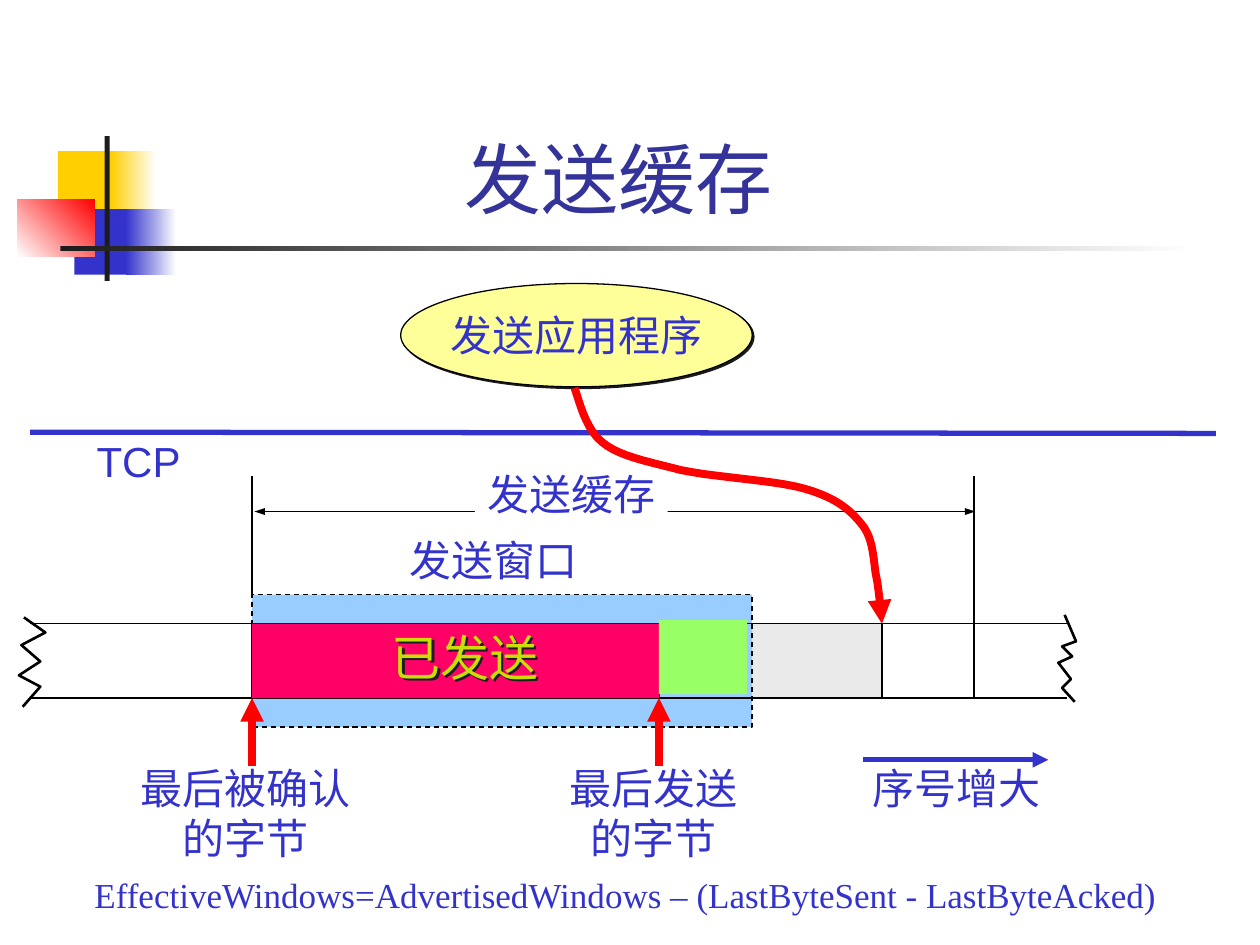
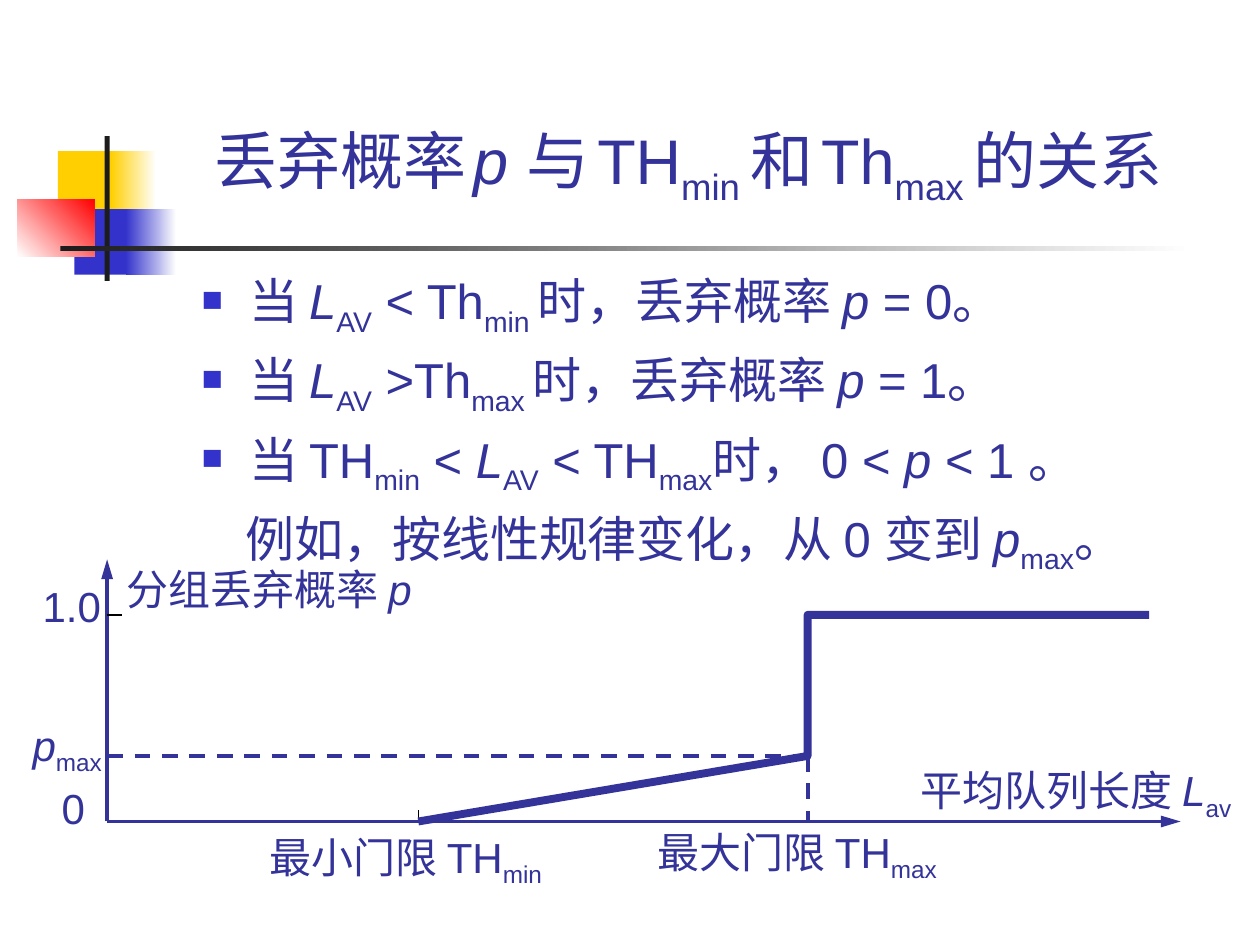
from lxml import etree
from pptx import Presentation
from pptx import util as u
from pptx.dml.color import RGBColor
from pptx.enum import dml, shapes, text
from pptx.oxml.ns import qn

# Shared colours and fonts
BLUE, NAVY, RED, BLACK, DARK = "3333CC", "333399", "FF0000", "000000", "1C1C1C"
FONT, SERIF = "Arial", "Times New Roman"
CENTER, LEFT = text.PP_ALIGN.CENTER, text.PP_ALIGN.LEFT
RECT, OVAL = shapes.MSO_SHAPE.RECTANGLE, shapes.MSO_SHAPE.OVAL

# Arrowheads: width, length
PLAIN, NARROW, LONG = ("med", "med"), ("sm", "med"), ("med", "lg")

# Corner ornament and title rule: box, colour(s), gradient angle
ORNAMENT = [
    ((0.46, 1.2, 0.48, 0.52), "FFCF01", 0),
    ((0.88, 1.2, 0.36, 0.52), ("FFCF01", "FFFFFF"), 0),
    ((0.59, 1.66, 0.46, 0.52), BLUE, 0),
    ((1, 1.66, 0.4, 0.52), (BLUE, "FFFFFF"), 0),
    ((0.14, 1.58, 0.61, 0.46), ("FFFFFF", RED), 45),
    ((0.83, 1.08, 0.04, 1.15), DARK, 0),
    ((0.48, 1.95, 9, 0.04), (DARK, "FFFFFF"), 0),
]

# Text markup: "|" parts runs; a leading "/" is italic, "_" subscript, "~" a small gap
BUFFER_TITLE = "发送缓存 "
DROP_TITLE = "丢弃概率|~ |/p |与|~ |TH|_min |和|~ |Th|_max |的关系 "
DROP_RULES = [
    "当 |/L|_AV| < Th|_min |时，丢弃概率 |/p| = 0。",
    "当 |/L|_AV| >Th|_max |时，丢弃概率 |/p| = 1。",
    "当 TH|_min| < |/L|_AV| < TH|_max|时， 0 < |/p |< 1 。",
]
DROP_EXAMPLE = "例如，按线性规律变化，从 0 变到 |/p|_max|。"

# Send buffer: byte positions along the band, band edges
ACKED, SENT, WRITTEN, BUFFER_END = 2, 5.23, 7, 7.73
BAND_TOP, BAND_BOTTOM, BAND_LEFT, BAND_RIGHT = 4.95, 5.54, 0.24, 8.47
BAND_H = BAND_BOTTOM - BAND_TOP
BUFFER_LABELS = [
    ((1.02, 6, 1.86, 0.9), "最后被确认\n的字节", CENTER),
    ((4.42, 6, 1.53, 0.9), "最后发送\n的字节", CENTER),
    ((3.15, 4.19, 1.53, 0.5), "发送窗口", LEFT),
    ((0.67, 3.41, 0.86, 0.5), "TCP", CENTER),
    ((6.83, 6, 1.53, 0.5), "序号增大", CENTER),
]
FORMULA = "EffectiveWindows=AdvertisedWindows – (LastByteSent - LastByteAcked)"
WRITE_PATH = [
    (4.56, 3.08),
    (4.59, 3.15), (4.64, 3.4), (4.78, 3.51),
    (4.91, 3.62), (5.13, 3.66), (5.4, 3.73),
    (5.67, 3.79), (6.15, 3.81), (6.39, 3.88),
    (6.63, 3.95), (6.74, 4.04), (6.83, 4.15),
    (6.93, 4.26), (6.93, 4.42), (6.95, 4.55),
    (6.98, 4.69), (6.99, 4.87), (7, 4.95),
]
TORN_EDGES = [
    [(8.45, 4.88), (8.54, 5.09), (8.43, 5.13), (8.51, 5.21),
     (8.4, 5.26), (8.5, 5.39), (8.43, 5.46), (8.53, 5.57)],
    [(0.19, 4.9), (0.36, 5.02), (0.17, 5.12), (0.32, 5.25),
     (0.15, 5.36), (0.32, 5.45), (0.18, 5.61)],
]

# Drop probability graph: axes and thresholds
ORIGIN_X, AXIS_Y, TH_MIN, TH_MAX, P_MAX, P_ONE = 0.85, 6.52, 3.32, 6.41, 6, 4.88
GRAPH_LABELS = [
    ((2.04, 6.55, 2.53, 0.56), "最小门限 TH|_min"),
    ((5.12, 6.51, 2.59, 0.56), "最大门限 TH|_max"),
    ((7.21, 6.02, 2.83, 0.56), "平均队列长度 |/L|_av"),
    ((0.91, 4.42, 2.63, 0.5), "分组丢弃概率 |/p"),
    ((0.24, 4.56, 0.66, 0.5), "1.0"),
    ((0.39, 6.16, 0.38, 0.5), "0"),
    ((0.16, 5.66, 0.75, 0.56), "/p|_max"),
]


def rgb(hex_color):
    return RGBColor.from_string(hex_color)


def inches(values):
    return [u.Inches(v) for v in values]


def sub(parent, tag, **attrs):
    return etree.SubElement(parent, qn(tag), attrs)


def cast_shadow(sp, points):
    """Offset an opaque dark shadow down and to the right."""
    sp.shadow.inherit = False
    effects = sp._element.spPr.find(qn("a:effectLst"))
    shdw = sub(effects, "a:outerShdw", dist=str(u.Pt(points)), dir="2700000")
    sub(shdw, "a:srgbClr", val=DARK)


def write(p, markup, size, color, font=FONT):
    """Fill a paragraph with the runs of a marked-up string."""
    for part in markup.split("|"):
        mark = part[0] if part[0] in "/_~" else ""
        r = p.add_run()
        r.text = part[len(mark):]
        look = {"size": u.Pt(20 if mark == "~" else size), "name": font,
                "italic": mark == "/", "bold": False}
        for key, value in look.items():
            setattr(r.font, key, value)
        r.font.color.rgb = rgb(color)
        if mark == "_":
            r.font._element.set("baseline", "-25000")


def fill_frame(tf, content, size, color, align=LEFT, font=FONT):
    for i, content_line in enumerate(content.split("\n")):
        p = tf.paragraphs[0] if i == 0 else tf.add_paragraph()
        p.alignment = align
        write(p, content_line, size, color, font)


def label(s, box, content, color, align=LEFT, size=24, font=FONT, wrap=False):
    """Place a text box whose side margins leave slack for its longest line."""
    sp = s.shapes.add_textbox(*inches(box))
    left, right = (0.02, 0.02) if align == CENTER else (0.1, 0)
    look = {"word_wrap": wrap, "auto_size": text.MSO_AUTO_SIZE.NONE,
            "margin_left": u.Inches(left), "margin_right": u.Inches(right)}
    for key, value in look.items():
        setattr(sp.text_frame, key, value)
    fill_frame(sp.text_frame, content, size, color, align, font)
    return sp


def set_line(fmt, color, width, dashed=False, head=None, tail=None):
    fmt.color.rgb = rgb(color)
    fmt.width = u.Pt(width)
    if dashed:
        fmt.dash_style = dml.MSO_LINE.DASH
    ln = fmt._get_or_add_ln()
    for tag, arrow in (("a:headEnd", head), ("a:tailEnd", tail)):
        if arrow:
            sub(ln, tag, type="triangle", w=arrow[0], len=arrow[1])


def block(s, box, fill, angle=0, kind=RECT, outlined=None, dashed=False):
    sp = s.shapes.add_shape(kind, *inches(box))
    sp.shadow.inherit = False
    if isinstance(fill, tuple):
        sp.fill.gradient()
        sp.fill.gradient_angle = angle
        for stop, color in zip(sp.fill.gradient_stops, fill):
            stop.color.rgb = rgb(color)
    else:
        sp.fill.solid()
        sp.fill.fore_color.rgb = rgb(fill)
    if outlined:
        set_line(sp.line, outlined, 0.75, dashed)
    else:
        sp.line.fill.background()
    return sp


def line(s, start, end, color=BLACK, width=0.75, **ends):
    cx = s.shapes.add_connector(shapes.MSO_CONNECTOR.STRAIGHT, *inches(start + end))
    set_line(cx.line, color, width, **ends)
    sub(cx._element.spPr, "a:effectLst")


def outline(s, points, color, width, **ends):
    """Draw an open, unfilled path through the points."""
    pts = [tuple(inches(pt)) for pt in points]
    fb = s.shapes.build_freeform(*pts[0])
    fb.add_line_segments(pts[1:], close=False)
    sp = fb.convert_to_shape()
    sp.shadow.inherit = False
    sp.fill.background()
    set_line(sp.line, color, width, **ends)


def bezier(nodes, steps=10):
    """Sample a chain of cubic curves."""
    points = [nodes[0]]
    for i in range(0, len(nodes) - 1, 3):
        for k in range(1, steps + 1):
            t = k / steps
            weights = ((1 - t) ** 3, 3 * t * (1 - t) ** 2, 3 * t * t * (1 - t), t ** 3)
            points.append(tuple(sum(w * n[axis] for w, n in zip(weights, nodes[i:i + 4]))
                                for axis in (0, 1)))
    return points


def titled_slide(prs, box, title, size):
    s = prs.slides.add_slide(prs.slide_layouts[5])
    for part, fill, angle in ORNAMENT:
        block(s, part, fill, angle)
    sp = s.shapes.title
    sp.left, sp.top, sp.width, sp.height = inches(box)
    tf = sp.text_frame
    for key, value in {"vertical_anchor": text.MSO_ANCHOR.BOTTOM, "word_wrap": True,
                       "auto_size": text.MSO_AUTO_SIZE.NONE}.items():
        setattr(tf, key, value)
    fill_frame(tf, title, size, NAVY, CENTER)
    return s


def buffer_slide(prs):
    s = titled_slide(prs, (1.26, 0.23, 7.44, 1.6), BUFFER_TITLE, 44)
    line(s, (ACKED + 0.02, 4.06), (BUFFER_END + 0.01, 4.06), head=NARROW, tail=NARROW)

    # Application and the TCP boundary
    block(s, (SENT, BAND_TOP, WRITTEN - SENT, BAND_H), "EAEAEA")
    app = block(s, (3.18, 2.25, 2.79, 0.82), "FFFF99", kind=OVAL, outlined=BLACK)
    cast_shadow(app, 1.4)
    app.text_frame.word_wrap = False
    app.text_frame.vertical_anchor = text.MSO_ANCHOR.MIDDLE
    fill_frame(app.text_frame, "发送应用程序", 24, BLUE, CENTER)
    line(s, (0.24, 3.43), (9.65, 3.44), BLUE, 3)

    # Window, band edges and byte marks
    block(s, (ACKED, 4.72, 3.97, 1.05), "99CCFF", outlined=BLACK, dashed=True)
    for y in (BAND_TOP, BAND_BOTTOM):
        line(s, (BAND_LEFT, y), (BAND_RIGHT, y))
    for x in (ACKED, SENT, WRITTEN):
        line(s, (x, BAND_TOP), (x, BAND_BOTTOM))
    buffer_box = (3.77, 3.67, 1.53, 0.5)
    block(s, buffer_box, "FFFFFF")
    label(s, buffer_box, "发送缓存", BLUE)

    # Sent bytes, with shadowed lettering
    block(s, (ACKED, BAND_TOP, SENT - ACKED, BAND_H), "FF0066")
    cast_shadow(label(s, (3.01, 4.93, 1.36, 0.57), "已发送", "C9DE06", size=28), 2)

    # Pointers and limits
    for x in (ACKED, SENT):
        line(s, (x, 6.08), (x, BAND_BOTTOM), RED, 4.5, tail=PLAIN)
    for x, bottom in ((ACKED, 4.72), (BUFFER_END, BAND_BOTTOM)):
        line(s, (x, 3.78), (x, bottom))
    outline(s, bezier(WRITE_PATH), RED, 4.5, tail=PLAIN)
    for edge in TORN_EDGES:
        outline(s, edge, BLACK, 1.5)
    line(s, (6.85, 6.03), (8.32, 6.03), BLUE, 3, tail=PLAIN)

    for box, content, align in BUFFER_LABELS:
        label(s, box, content, BLUE, align)
    label(s, (0.63, 6.88, 8.67, 0.44), FORMULA, BLUE, CENTER, 20, SERIF, wrap=True)
    block(s, (SENT, 4.92, 0.7, BAND_H), "99FF66")


def drop_slide(prs):
    s = titled_slide(prs, (1.26, 0.23, 8.52, 1.47), DROP_TITLE, 36)

    # Axes and labels
    for end in ((9.37, AXIS_Y), (ORIGIN_X, 4.44)):
        line(s, (ORIGIN_X, AXIS_Y), end, NAVY, 2.25, tail=LONG)
    for box, content in GRAPH_LABELS:
        label(s, box, content, NAVY)

    # Guides, ticks and the probability curve
    for start, end in (((TH_MAX, P_MAX), (TH_MAX, AXIS_Y)),
                       ((ORIGIN_X, P_MAX), (TH_MAX, P_MAX))):
        line(s, start, end, NAVY, 2.25, dashed=True)
    line(s, (TH_MIN, 6.43), (TH_MIN, AXIS_Y))
    line(s, (ORIGIN_X, P_ONE), (0.97, P_ONE))
    outline(s, [(TH_MIN, AXIS_Y), (TH_MAX, P_MAX), (TH_MAX, P_ONE), (9.12, P_ONE)], NAVY, 4.5)

    # Rules
    tf = s.shapes.add_textbox(*inches((1.5, 2.1, 8.5, 2.6))).text_frame
    tf.word_wrap = True
    fill_frame(tf, "\n".join(DROP_RULES + [DROP_EXAMPLE]), 28, NAVY)
    for i, p in enumerate(tf.paragraphs):
        pPr = p._p.get_or_add_pPr()
        if i:
            p.space_before = u.Pt(7)
        if i < len(DROP_RULES):
            pPr.set("marL", str(u.Inches(0.38)))
            pPr.set("indent", str(u.Inches(-0.38)))
            sub(sub(pPr, "a:buClr"), "a:srgbClr", val=BLUE)
            sub(pPr, "a:buSzPct", val="60000")
            sub(pPr, "a:buChar", char="■")
        else:
            pPr.set("marL", str(u.Inches(0.35)))


def main():
    prs = Presentation()
    prs.slide_width, prs.slide_height = inches((10, 7.5))
    buffer_slide(prs)
    drop_slide(prs)
    prs.save("out.pptx")


if __name__ == "__main__":
    main()
